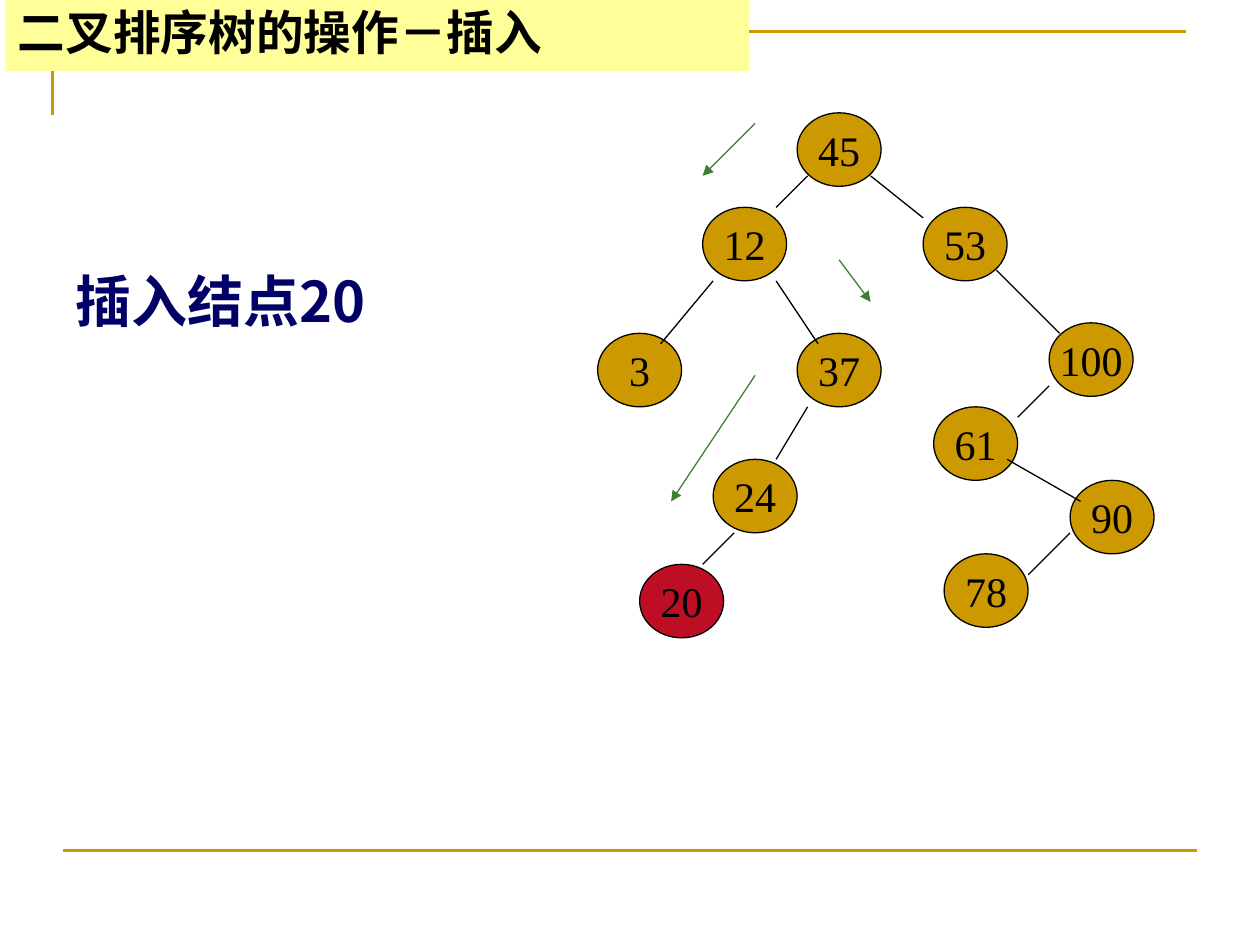
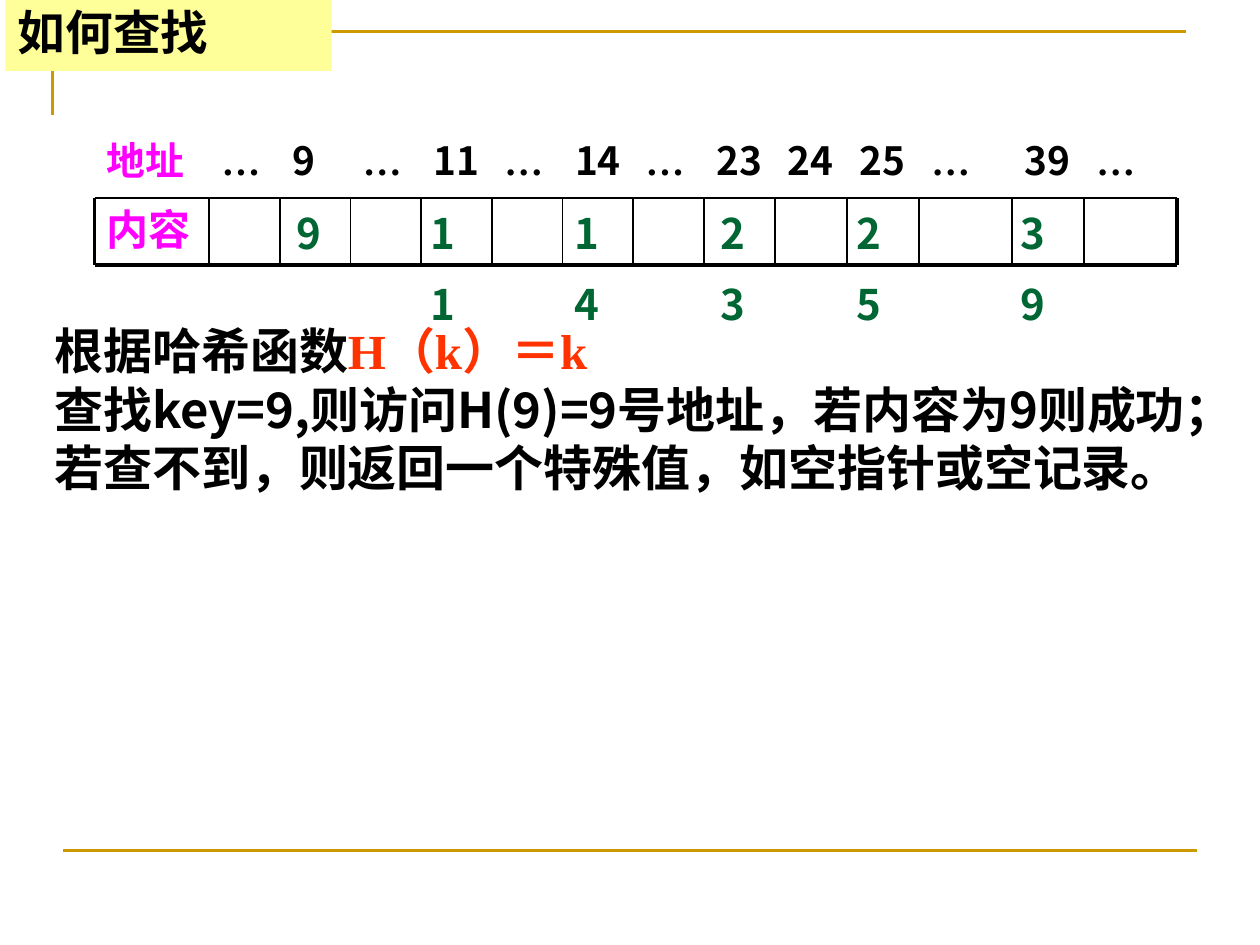
from itertools import accumulate

from lxml.etree import SubElement
from pptx import Presentation
from pptx.dml.color import RGBColor
from pptx.enum.shapes import MSO_CONNECTOR, MSO_SHAPE
from pptx.enum.text import MSO_ANCHOR as Anchor, MSO_AUTO_SIZE as AutoSize, PP_ALIGN as Align
from pptx.oxml.ns import qn
from pptx.util import Pt

SANS, SERIF = "Noto Sans CJK SC", "Times New Roman"
BLACK, GOLD, YELLOW, NAVY = "000000", "CC9900", "FFFF99", "000066"
RED, ORANGE, MAGENTA = "BE0E23", "FF3300", "FF00FF"
GREEN, PATH_GREEN = "006633", "3B812F"


def rgb(value):
    return RGBColor.from_string(value)


def set_font(font, size, color=BLACK, face=SANS, bold=True):
    font.size, font.bold, font.name = Pt(size), bold, face
    font.color.rgb = rgb(color)
    SubElement(font._rPr, qn("a:ea")).set("typeface", SANS)


class Deck:
    def __init__(self):
        self.prs = Presentation()
        self.prs.slide_width, self.prs.slide_height = Pt(720), Pt(540)
        self.slide = None

    def new_slide(self, heading, width):
        """Start a slide with the gold rules and a yellow title band."""
        self.slide = self.prs.slides.add_slide(self.prs.slide_layouts[5])
        self.corner()
        self.line((36, 486), (684, 486), GOLD, 1.5)

        title = self.slide.shapes.title
        self.slide.shapes._spTree.append(title._element)  # band covers the rule
        title.left, title.top, title.width, title.height = Pt(3), Pt(0), Pt(width), Pt(40.5)
        title.fill.solid()
        title.fill.fore_color.rgb = rgb(YELLOW)
        frame = title.text_frame
        frame.text = heading
        frame.auto_size, frame.vertical_anchor = AutoSize.NONE, Anchor.MIDDLE
        paragraph = frame.paragraphs[0]
        paragraph.alignment, paragraph.line_spacing = Align.LEFT, 0.9
        set_font(paragraph.font, 27.2)

    def corner(self):
        builder = self.slide.shapes.build_freeform(Pt(30), Pt(66))
        builder.add_line_segments([(Pt(30), Pt(18)), (Pt(678), Pt(18))], close=False)
        rule = builder.convert_to_shape()
        rule.shadow.inherit = False
        rule.fill.background()
        rule.line.color.rgb, rule.line.width = rgb(GOLD), Pt(1.5)

    def line(self, start, end, color=BLACK, width=0.75, arrow=False):
        link = self.slide.shapes.add_connector(
            MSO_CONNECTOR.STRAIGHT, *(Pt(v) for v in (*start, *end)))
        link.line.color.rgb, link.line.width = rgb(color), Pt(width)
        if arrow:
            SubElement(link.line._get_or_add_ln(), qn("a:tailEnd")).set("type", "triangle")
        SubElement(link._element.spPr, qn("a:effectLst"))

    def node(self, key, left, top, color=GOLD):
        oval = self.slide.shapes.add_shape(
            MSO_SHAPE.OVAL, Pt(left), Pt(top), Pt(48), Pt(42))
        oval.shadow.inherit = False
        oval.fill.solid()
        oval.fill.fore_color.rgb = rgb(color)
        oval.line.color.rgb, oval.line.width = rgb(BLACK), Pt(0.75)
        frame = oval.text_frame
        frame.text = key
        frame.word_wrap, frame.vertical_anchor = False, Anchor.MIDDLE
        frame.paragraphs[0].alignment = Align.CENTER
        set_font(frame.paragraphs[0].font, 24, face=SERIF, bold=False)

    def text(self, words, left, top, width, height, size, color=BLACK, face=SANS, spacing=1.0):
        frame = self.frame(left, top, width, height)
        frame.text = words
        frame.paragraphs[0].line_spacing = spacing
        set_font(frame.paragraphs[0].font, size, color, face)

    def frame(self, left, top, width, height):
        box = self.slide.shapes.add_textbox(Pt(left), Pt(top), Pt(width), Pt(height))
        box.text_frame.word_wrap = True
        return box.text_frame

    def paragraphs(self, lines, left, top, width, height, size):
        """Each line is a list of (words, colour, typeface) runs."""
        frame = self.frame(left, top, width, height)
        for number, runs in enumerate(lines):
            paragraph = frame.add_paragraph() if number else frame.paragraphs[0]
            if len(runs) == 1:
                paragraph.text = runs[0][0]
                set_font(paragraph.font, size, *runs[0][1:])
                continue
            for words, color, face in runs:
                run = paragraph.add_run()
                run.text = words
                set_font(run.font, size, color, face)


def insertion_slide(deck):
    deck.new_slide("二叉排序树的操作－插入", 425)

    # Search tree
    nodes = {"45": (455.5, 64.5), "12": (401.5, 118.5), "53": (527.5, 118.5),
             "3": (341.5, 190.5), "37": (455.5, 190.5), "24": (407.5, 262.5),
             "100": (599.5, 184.5), "61": (533.5, 232.5), "90": (611.5, 274.5),
             "78": (539.5, 316.5)}
    for key, place in nodes.items():
        deck.node(key, *place)
    deck.node("20", 365.5, 322.5, RED)

    branches = [((461.5, 100.5), (443.5, 118.5)), ((407.5, 160.5), (377.5, 196.5)),
                ((443.5, 160.5), (467.5, 196.5)), ((461.5, 232.5), (443.5, 262.5)),
                ((497.5, 100.5), (527.5, 124.5)), ((569.5, 154.5), (605.5, 190.5)),
                ((599.5, 220.5), (581.5, 238.5)), ((575.5, 262.5), (617.5, 286.5)),
                ((611.5, 304.5), (587.5, 328.5)), ((419.5, 304.5), (401.5, 322.5))]
    for start, end in branches:
        deck.line(start, end)

    # Path followed by the new key
    steps = [((431.5, 70.5), (401.5, 100.5)), ((479.5, 148.5), (497.5, 172.5)),
             ((431.5, 214.5), (383.5, 286.5))]
    for start, end in steps:
        deck.line(start, end, PATH_GREEN, arrow=True)

    deck.text("插入结点20", 36, 148.5, 204.5, 46, 32, NAVY)


def lookup_slide(deck):
    deck.new_slide("如何查找", 186.5)

    # Lookup rule
    deck.paragraphs([
        [("根据哈希函数", BLACK, SANS), ("H（k）＝k", ORANGE, SERIF)],
        [("查找key=9,则访问H(9)=9号地址，若内容为9则成功；", BLACK, SANS)],
        [("若查不到，则返回一个特殊值，如空指针或空记录。", BLACK, SANS)],
    ], 24, 179.5, 696, 108, 28)

    # Address row, with a little room so that two digits stay on one line
    addresses = "地址 … 9 … 11 … 14 … 23 24 25 … 39 …".split()
    widths = [65.5] + [40.4] * 8 + [41.2] * 2 + [53.3, 41, 53]
    edges = list(accumulate(widths, initial=54))
    top, bottom, slack = 113, 151.3, 3
    for address, left, width in zip(addresses, edges, widths):
        deck.text(address, left, 77.3, width + slack, 36, 22.2,
                  MAGENTA if address == "地址" else BLACK,
                  SERIF if address == "…" else SANS, 0.9)

    # Content row
    deck.text("内容", edges[0], top, widths[0], 38, 24, MAGENTA)
    for edge in edges:
        deck.line((edge, top), (edge, bottom), width=2.25 if edge in (edges[0], edges[-1]) else 1)
    deck.line((edges[0], top), (edges[-1], top), width=1)
    deck.line((edges[0], bottom), (edges[-1], bottom), width=2.25)
    contents = {"9": 162.3, "11": 239, "14": 321, "23": 404.5, "25": 482.5, "39": 576}
    for value, left in contents.items():
        deck.text(value, left, 103.8, 39, 88, 24, GREEN, spacing=1.4)


def main():
    deck = Deck()
    insertion_slide(deck)
    lookup_slide(deck)
    deck.prs.save("out.pptx")


if __name__ == "__main__":
    main()
